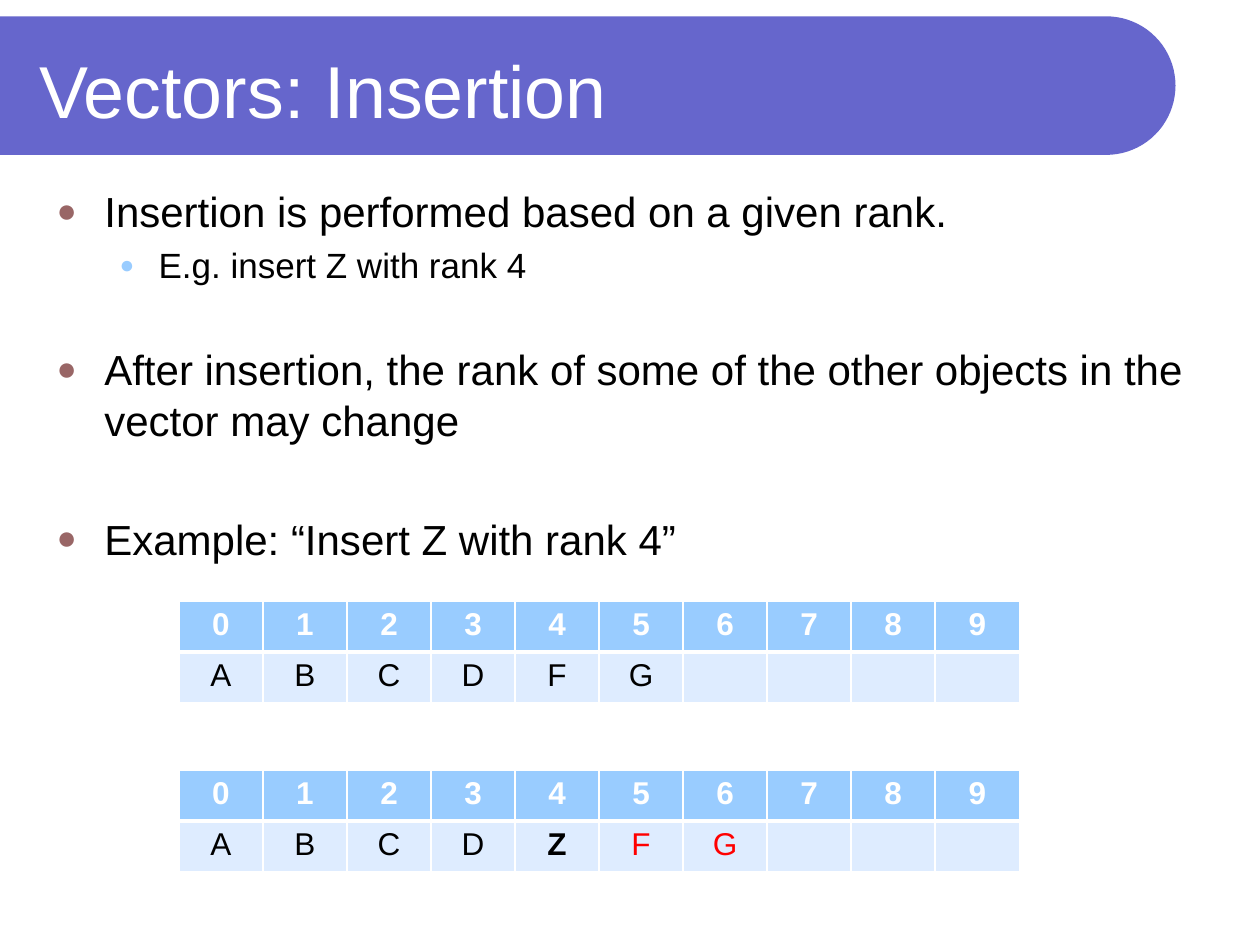
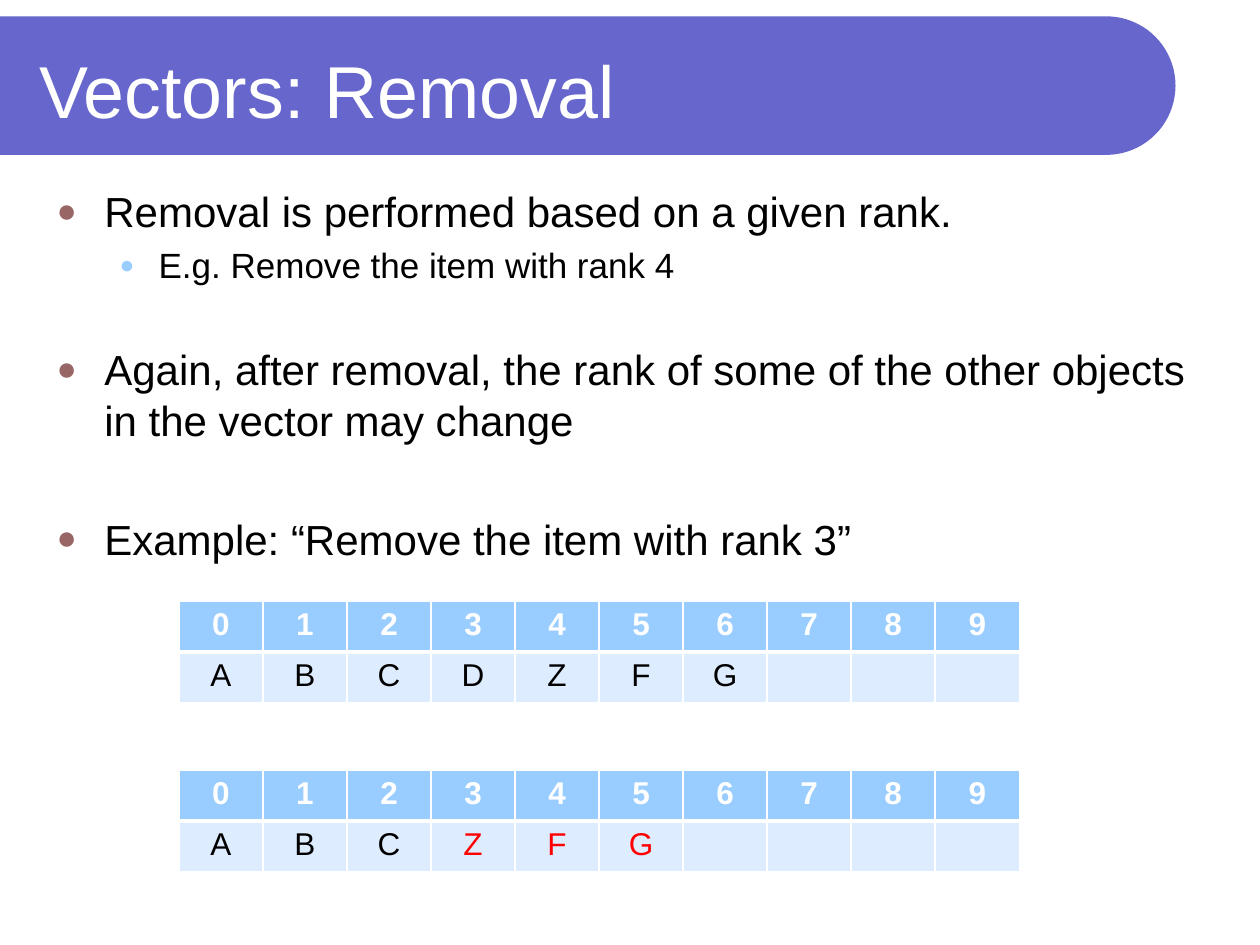
from math import cos, pi, sin

from lxml import etree
from pptx import Presentation
from pptx.dml.color import RGBColor
from pptx.enum.text import MSO_ANCHOR, MSO_AUTO_SIZE, PP_ALIGN
from pptx.oxml.ns import qn
from pptx.util import Inches, Pt

LEFT, CENTER = PP_ALIGN.LEFT, PP_ALIGN.CENTER
MIDDLE = MSO_ANCHOR.MIDDLE
NO_FIT = MSO_AUTO_SIZE.NONE

FONT = "Arial"
BAND, HEADER, CELL = "6666CC", "99CCFF", "DEECFF"
WHITE, BLACK, RED, BROWN = "FFFFFF", "000000", "FF0000", "996666"
TITLE_ONLY = 5
COLUMNS = 10

# level: size, line pitch, left indent, hanging indent, bullet colour, bullet percent
LEVELS = [(24, 29.1, 0.38, 0.38, BROWN, 80), (20, 24.3, 0.81, 0.31, HEADER, 70)]
# level and space before for the four paragraphs of every slide
OUTLINE = [(0, 0), (1, 4), (0, 33), (0, 38.5)]

SLIDES = [
    {
        "title": "Vectors: Insertion",
        "points": [
            "Insertion is performed based on a given rank.",
            "E.g. insert Z with rank 4",
            "After insertion, the rank of some of the other objects in the vector may change",
            "Example: “Insert Z with rank 4”",
        ],
        "before": "ABCDFG",
        "after": "ABCDZFG",
        "moved": "FG",
        "inserted": "Z",
    },
    {
        "title": "Vectors: Removal",
        "points": [
            "Removal is performed based on a given rank.",
            "E.g. Remove the item with rank 4",
            "Again, after removal, the rank of some of the other objects in the vector may change",
            "Example: “Remove the item with rank 3”",
        ],
        "before": "ABCDZFG",
        "after": "ABCZFG",
        "moved": "ZFG",
        "inserted": "",
    },
]


def rgb(color):
    """Turn a hex string into a colour."""
    return RGBColor.from_string(color)


def add_run(p, text, size, color, bold=False):
    """Add one formatted run to a paragraph."""
    r = p.add_run()
    r.text = text
    r.font.name = FONT
    r.font.size = Pt(size)
    r.font.bold = bold
    r.font.color.rgb = rgb(color)


def add_band(slide):
    """Draw the title band with its round right end behind the title."""
    radius, cx, cy = 0.55, 8.78, 0.68
    angles = [pi * (i / 40 - 0.5) for i in range(41)]
    arc = [(Inches(cx + radius * cos(a)), Inches(cy + radius * sin(a))) for a in angles]
    builder = slide.shapes.build_freeform(0, Inches(cy - radius))
    builder.add_line_segments(arc + [(0, Inches(cy + radius))], close=True)
    sp = builder.convert_to_shape()
    sp.shadow.inherit = False
    sp.fill.solid()
    sp.fill.fore_color.rgb = rgb(BAND)
    sp.line.fill.background()
    slide.shapes.title.element.addprevious(sp.element)


def set_title(slide, text):
    """Place and fill the title placeholder."""
    title = slide.shapes.title
    title.left, title.top = Inches(0.21), Inches(0.21)
    title.width, title.height = Inches(8.77), Inches(1)
    tf = title.text_frame
    tf.auto_size = NO_FIT
    tf.vertical_anchor = MIDDLE
    p = tf.paragraphs[0]
    p.alignment = LEFT
    add_run(p, text, 42, WHITE)


def set_bullet(p, indent, hanging, color, percent):
    """Give a paragraph a coloured round bullet with a hanging indent."""
    pPr = p._p.get_or_add_pPr()
    pPr.set("marL", str(Inches(indent)))
    pPr.set("indent", str(-Inches(hanging)))
    bu_clr = etree.SubElement(pPr, qn("a:buClr"))
    etree.SubElement(bu_clr, qn("a:srgbClr"), val=color)
    etree.SubElement(pPr, qn("a:buSzPct"), val=str(percent * 1000))
    etree.SubElement(pPr, qn("a:buFont"), typeface=FONT)
    etree.SubElement(pPr, qn("a:buChar"), char="●")


def add_points(slide, points):
    """Add the bulleted text of a slide."""
    sp = slide.shapes.add_textbox(Inches(0.35), Inches(1.42), Inches(9.29), Inches(5.75))
    tf = sp.text_frame
    tf.word_wrap = True
    for i, (text, (level, before)) in enumerate(zip(points, OUTLINE)):
        p = tf.paragraphs[0] if i == 0 else tf.add_paragraph()
        size, pitch, indent, hanging, color, percent = LEVELS[level]
        p.level = level
        p.line_spacing = Pt(pitch)
        p.space_before = Pt(before)
        set_bullet(p, indent, hanging, color, percent)
        add_run(p, text, size, BLACK)


def set_borders(cell, top, bottom):
    """Give a cell white borders, with top and bottom widths in points."""
    tcPr = cell._tc.get_or_add_tcPr()
    widths = {"a:lnL": 1, "a:lnR": 1, "a:lnT": top, "a:lnB": bottom}
    for i, (tag, width) in enumerate(widths.items()):
        ln = etree.Element(qn(tag), w=str(Pt(width)))
        fill = etree.SubElement(ln, qn("a:solidFill"))
        etree.SubElement(fill, qn("a:srgbClr"), val=WHITE)
        tcPr.insert(i, ln)


def set_cell(cell, text, fill, color, bold, top, bottom):
    """Fill one table cell and write its centred text."""
    cell.fill.solid()
    cell.fill.fore_color.rgb = rgb(fill)
    set_borders(cell, top, bottom)
    p = cell.text_frame.paragraphs[0]
    p.alignment = CENTER
    if text:
        add_run(p, text, 18, color, bold)


def add_vector(slide, top, items, moved="", inserted=""):
    """Add a table of ranks over the items held at them."""
    frame = slide.shapes.add_table(
        2, COLUMNS, Inches(1.42), Inches(top), Inches(6.67), Inches(0.81))
    table = frame.table
    for rank in range(COLUMNS):
        table.columns[rank].width = Inches(6.67 / COLUMNS)
        set_cell(table.cell(0, rank), str(rank), HEADER, WHITE, True, 1, 3)
        item = items[rank:rank + 1]
        color = RED if item and item in moved else BLACK
        set_cell(table.cell(1, rank), item, CELL, color, item == inserted, 3, 1)


def main():
    """Build the slides and save them."""
    prs = Presentation()
    prs.slide_width, prs.slide_height = Inches(10), Inches(7.5)
    for content in SLIDES:
        slide = prs.slides.add_slide(prs.slide_layouts[TITLE_ONLY])
        add_band(slide)
        set_title(slide, content["title"])
        add_points(slide, content["points"])
        add_vector(slide, 4.77, content["before"])
        add_vector(slide, 6.11, content["after"], content["moved"], content["inserted"])
    prs.save("out.pptx")


if __name__ == "__main__":
    main()
